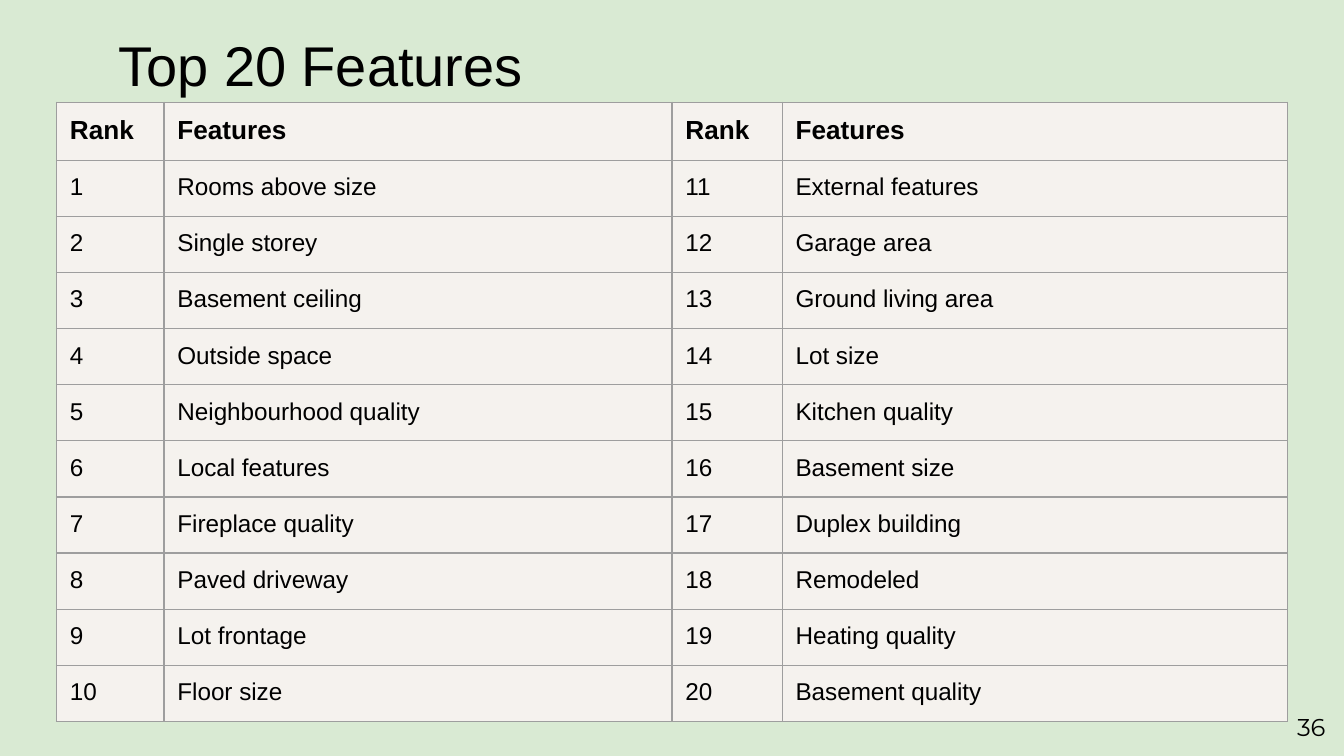
from lxml import etree
from pptx import Presentation
from pptx.dml.color import RGBColor
from pptx.enum import text
from pptx.oxml import ns
from pptx.util import Inches, Pt

MINT = RGBColor(0xD9, 0xEA, 0xD3)
CREAM = RGBColor(0xF5, 0xF2, 0xEE)
GREY = RGBColor(0x9E, 0x9E, 0x9E)
BLACK = RGBColor(0, 0, 0)

FEATURES = [
    "Rooms above size", "Single storey", "Basement ceiling", "Outside space",
    "Neighbourhood quality", "Local features", "Fireplace quality",
    "Paved driveway", "Lot frontage", "Floor size",
    "External features", "Garage area", "Ground living area", "Lot size",
    "Kitchen quality", "Basement size", "Duplex building", "Remodeled",
    "Heating quality", "Basement quality",
]
COLUMN_WIDTHS = [0.8, 3.78, 0.82, 3.76]
ROW_HEIGHTS = [0.41] + [0.4] * 9 + [0.25]  # rows grow to fit their text


def set_margins(target):
    for side in ("left", "top", "right", "bottom"):
        setattr(target, f"margin_{side}", Inches(0.1))


def write(paragraph, wording, size, name="Arial", bold=False):
    run = paragraph.add_run()
    run.text = wording
    font_format = {"name": name, "size": Pt(size), "bold": bold}
    for attribute, value in font_format.items():
        setattr(run.font, attribute, value)
    run.font.color.rgb = BLACK


def add_borders(cell):
    properties = cell._tc.get_or_add_tcPr()
    for position, edge in enumerate(("lnL", "lnR", "lnT", "lnB")):
        line = etree.Element(ns.qn(f"a:{edge}"), w=str(Pt(0.75)))
        fill = etree.SubElement(line, ns.qn("a:solidFill"))
        etree.SubElement(fill, ns.qn("a:srgbClr"), val=str(GREY))
        properties.insert(position, line)


def add_title(slide, left, top, width, height):
    title = slide.shapes.title
    box = {"left": left, "top": top, "width": width, "height": height}
    for attribute, value in box.items():
        setattr(title, attribute, Inches(value))
    frame = title.text_frame
    set_margins(frame)
    frame.vertical_anchor = text.MSO_ANCHOR.TOP
    frame.auto_size = text.MSO_AUTO_SIZE.NONE
    heading = frame.paragraphs[0]
    heading.alignment = text.PP_ALIGN.LEFT
    write(heading, "Top 20 Features", 30)


def add_ranking(slide, left, top, width, height):
    # Ranks 1-10 stand beside ranks 11-20
    half = len(FEATURES) // 2
    rows = [["Rank", "Features"] * 2]
    for i in range(half):
        rows.append([str(i + 1), FEATURES[i],
                     str(i + 1 + half), FEATURES[i + half]])
    frame = slide.shapes.add_table(
        len(rows), len(COLUMN_WIDTHS), Inches(left), Inches(top),
        Inches(width), Inches(height))
    ranking = frame.table
    ranking.first_row = ranking.horz_banding = False
    for column, column_width in zip(ranking.columns, COLUMN_WIDTHS):
        column.width = Inches(column_width)

    for r, wordings in enumerate(rows):
        header = r == 0
        ranking.rows[r].height = Inches(ROW_HEIGHTS[r])
        for c, wording in enumerate(wordings):
            cell = ranking.cell(r, c)
            set_margins(cell)
            cell.fill.solid()
            cell.fill.fore_color.rgb = CREAM
            add_borders(cell)
            write(cell.text_frame.paragraphs[0], wording,
                  14 if header else 13, bold=header)

    # Resizing rows and columns changes the frame, so its size is set last
    frame.width, frame.height = Inches(width), Inches(height)


def add_page_number(slide, left, top, width, height):
    frame = slide.shapes.add_textbox(
        Inches(left), Inches(top), Inches(width), Inches(height)).text_frame
    set_margins(frame)
    frame.word_wrap = True
    frame.vertical_anchor = text.MSO_ANCHOR.MIDDLE
    number = frame.paragraphs[0]
    number.alignment = text.PP_ALIGN.RIGHT
    write(number, "36", 13, name="Montserrat")


def main():
    deck = Presentation()
    deck.slide_width = Inches(10)
    deck.slide_height = deck.slide_width * 9 // 16
    slide = deck.slides.add_slide(deck.slide_layouts[5])  # title only
    slide.background.fill.solid()
    slide.background.fill.fore_color.rgb = MINT

    add_page_number(slide, 9.36, 5.19, 0.6, 0.43)
    add_title(slide, 0.78, 0.13, 8.44, 0.63)
    add_ranking(slide, 0.42, 0.76, 3.28, 3.28)
    deck.save("out.pptx")


if __name__ == "__main__":
    main()
